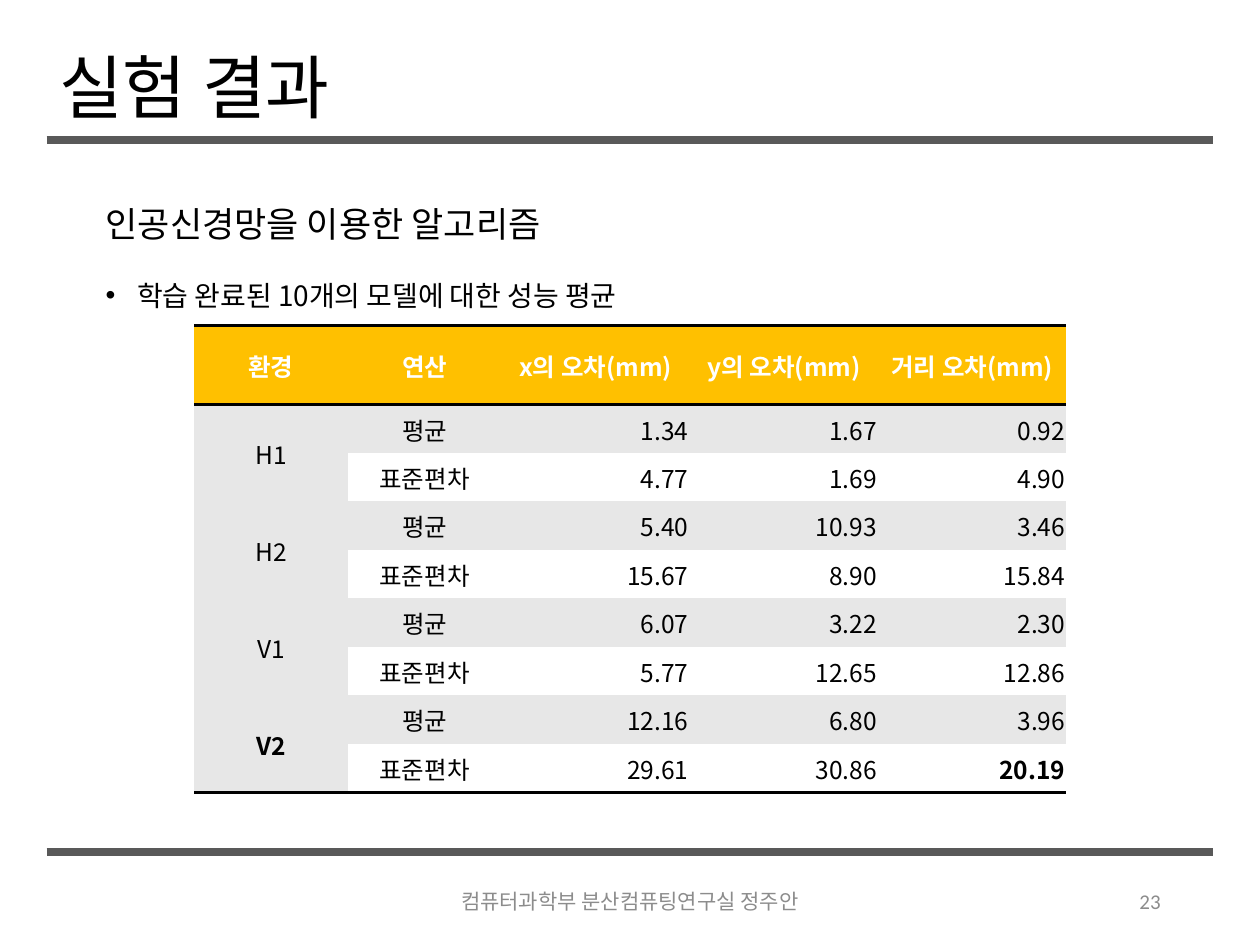
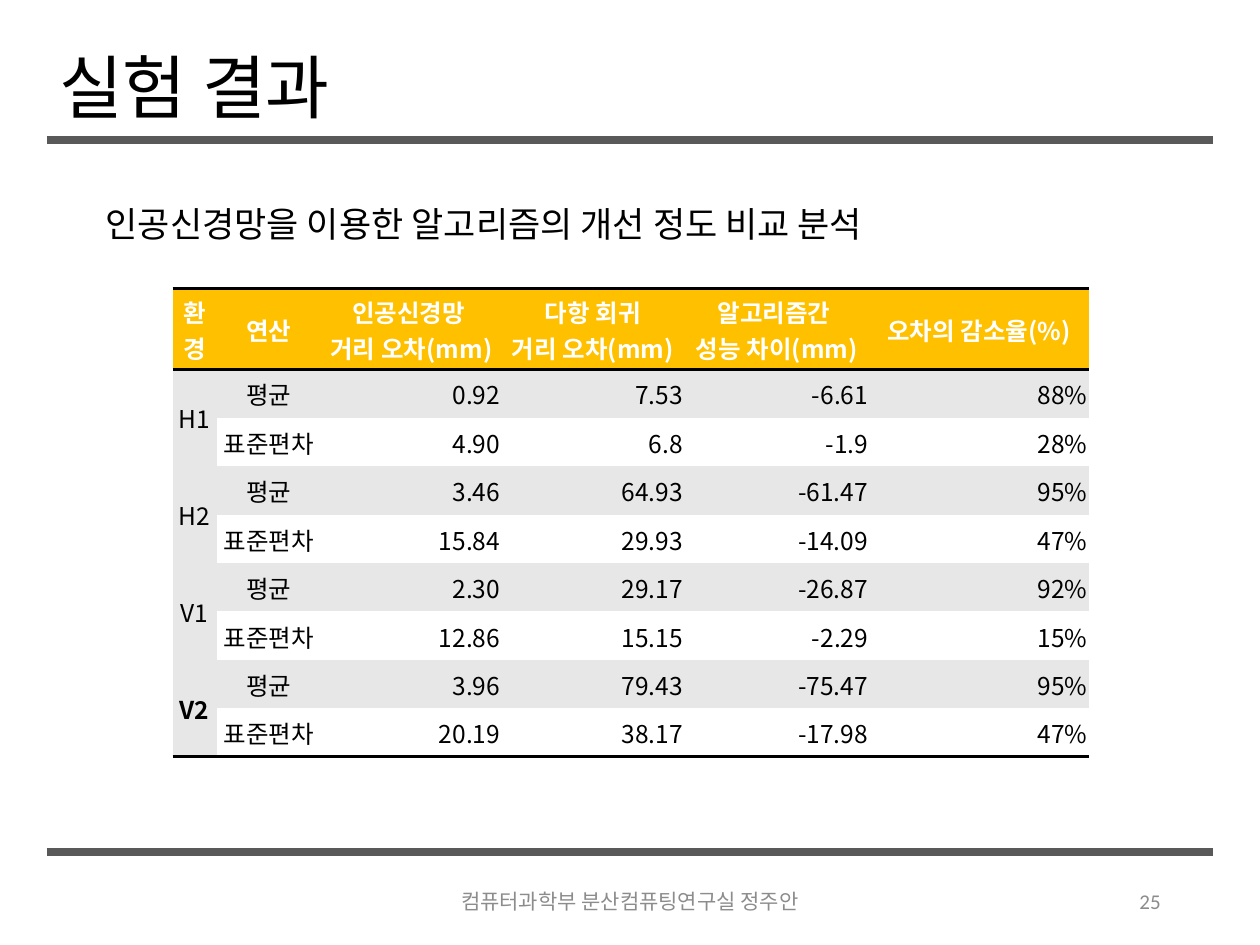
from lxml.etree import SubElement
from pptx import Presentation
from pptx.dml.color import RGBColor
from pptx.enum.shapes import MSO_CONNECTOR
from pptx.enum.text import MSO_ANCHOR as ANCHOR, PP_ALIGN as ALIGN
from pptx.oxml import parse_xml
from pptx.oxml.ns import nsdecls, qn
from pptx.util import Pt

PX = 4572  # 200 px to the inch
COLORS = {"text": "000000", "rule": "595959", "footer": "8C8C8C",
          "header": "FFC000", "band": "E7E7E7", "plain": "FFFFFF"}
KOREAN, LATIN = "Noto Sans CJK KR", "Calibri"
NO_STYLE = "{2D5ABB26-0587-4C30-8999-92F81FD0307C}"
FOOTER = "컴퓨터과학부 분산컴퓨팅연구실 정주안"
ENVIRONMENTS = ["H1", "H2", "V1", "V2"]
OPERATIONS = ["평균", "표준편차"]

SLIDES = [
    {"number": "23",
     "heading": "인공신경망을 이용한 알고리즘",
     "bullet": "학습 완료된 10개의 모델에 대한 성능 평균",
     "left": 308, "top": 516, "header_height": 126,
     "widths": [244, 244, 299, 299, 299],
     "header": ["환경", "연산", "x의 오차(mm)", "y의 오차(mm)", "거리 오차(mm)"],
     "values": [["1.34", "1.67", "0.92"], ["4.77", "1.69", "4.90"],
                ["5.40", "10.93", "3.46"], ["15.67", "8.90", "15.84"],
                ["6.07", "3.22", "2.30"], ["5.77", "12.65", "12.86"],
                ["12.16", "6.80", "3.96"], ["29.61", "30.86", "20.19"]],
     "bold": [(7, 0), (8, 4)]},
    {"number": "25",
     "heading": "인공신경망을 이용한 알고리즘의 개선 정도 비교 분석",
     "bullet": None,
     "left": 274, "top": 458, "header_height": 128,
     "widths": [70, 166, 286, 290, 294, 348],
     "header": ["환경", "연산", "인공신경망 \v거리 오차(mm)", "다항 회귀\v거리 오차(mm)",
                "알고리즘간 \v성능 차이(mm)", "오차의 감소율(%)"],
     "values": [["0.92", "7.53", "-6.61", "88%"], ["4.90", "6.8", "-1.9", "28%"],
                ["3.46", "64.93", "-61.47", "95%"], ["15.84", "29.93", "-14.09", "47%"],
                ["2.30", "29.17", "-26.87", "92%"], ["12.86", "15.15", "-2.29", "15%"],
                ["3.96", "79.43", "-75.47", "95%"], ["20.19", "38.17", "-17.98", "47%"]],
     "bold": [(7, 0)]},
]


def format_paragraph(p, size, color, font=KOREAN, align=ALIGN.LEFT, bold=False):
    p.alignment = align
    for r in p.runs:
        r.font.size, r.font.bold, r.font.name = Pt(size), bold, font
        r.font.color.rgb = RGBColor.from_string(COLORS[color])
        SubElement(r.font._element, qn("a:ea"), typeface=KOREAN)


def add_text(slide, box, text, anchor=ANCHOR.MIDDLE):
    tf = slide.shapes.add_textbox(*[v * PX for v in box]).text_frame
    tf.word_wrap = True
    tf.vertical_anchor = anchor
    tf.text = text
    return tf.paragraphs


prs = Presentation()
prs.slide_width, prs.slide_height = 2000 * PX, 1500 * PX

for data in SLIDES:
    slide = prs.slides.add_slide(prs.slide_layouts[6])

    # Rules above and below the content
    for y in (222, 1352):
        rule = slide.shapes.add_connector(MSO_CONNECTOR.STRAIGHT,
                                          74 * PX, y * PX, 1926 * PX, y * PX)
        rule.line.color.rgb = RGBColor.from_string(COLORS["rule"])
        rule.line.width = Pt(4.5)
        SubElement(rule._element.spPr, qn("a:effectLst"))

    # Title
    p = add_text(slide, (74, 86, 1850, 118), "실험 결과")[0]
    p.line_spacing = 0.9
    format_paragraph(p, 39.6, "text")

    # Heading and optional bullet
    lines = [line for line in (data["heading"], data["bullet"]) if line]
    paragraphs = add_text(slide, (148, 278, 1706, 238), "\n".join(lines), ANCHOR.TOP)
    for p, size in zip(paragraphs, (20, 16)):
        p.line_spacing, p.space_before = 1.5, Pt(10)
        format_paragraph(p, size, "text")
    for p in paragraphs[1:]:
        pPr = p._p.get_or_add_pPr()
        pPr.set("marL", str(50 * PX))
        pPr.set("indent", str(-50 * PX))
        SubElement(pPr, qn("a:buFont"), typeface="Arial")
        SubElement(pPr, qn("a:buChar"), char="•")

    # Footer and slide number
    for box, text, align in (((662, 1390, 676, 80), FOOTER, ALIGN.CENTER),
                             ((1412, 1390, 450, 80), data["number"], ALIGN.RIGHT)):
        format_paragraph(add_text(slide, box, text)[0], 12, "footer", LATIN, align)

    # Table grid
    rows = [data["header"]]
    for i, values in enumerate(data["values"]):
        environment = "" if i % 2 else ENVIRONMENTS[i // 2]
        rows.append([environment, OPERATIONS[i % 2]] + values)
    last = len(rows) - 1
    heights = [data["header_height"]] + [77] * last
    widths = data["widths"]
    table = slide.shapes.add_table(len(rows), len(widths), data["left"] * PX,
                                   data["top"] * PX, sum(widths) * PX,
                                   sum(heights) * PX).table
    table.horz_banding = False
    table._tbl.tblPr.find(qn("a:tableStyleId")).text = NO_STYLE
    for column, width in zip(table.columns, widths):
        column.width = width * PX
    for row, height in zip(table.rows, heights):
        row.height = height * PX
    for i in range(1, last, 2):
        table.cell(i, 0).merge(table.cell(i + 1, 0))

    # Table cells
    for i, row in enumerate(rows):
        for j, text in enumerate(row):
            cell = table.cell(i, j)
            cell.text_frame.text = text
            cell.vertical_anchor = ANCHOR.MIDDLE
            cell.margin_left = cell.margin_right = cell.margin_top = 2 * PX
            cell.margin_bottom = 0
            fill = "header" if i == 0 else "band" if j == 0 or i % 2 else "plain"
            cell.fill.solid()
            cell.fill.fore_color.rgb = RGBColor.from_string(COLORS[fill])
            format_paragraph(cell.text_frame.paragraphs[0], 14,
                             "text" if i else "plain",
                             align=ALIGN.RIGHT if i and j > 1 else ALIGN.CENTER,
                             bold=i == 0 or (i, j) in data["bold"])

            # Header is ruled on both sides, the last row below
            ends_table = i == last or (i == last - 1 and j == 0)
            sides = ["lnB", "lnT"] if i == 0 else ["lnB"] if ends_table else []
            for side in sides:
                cell._tc.get_or_add_tcPr().insert(0, parse_xml(
                    f'<a:{side} {nsdecls("a")} w="{Pt(2)}"><a:solidFill>'
                    f'<a:srgbClr val="{COLORS["text"]}"/></a:solidFill></a:{side}>'))

prs.save("out.pptx")
